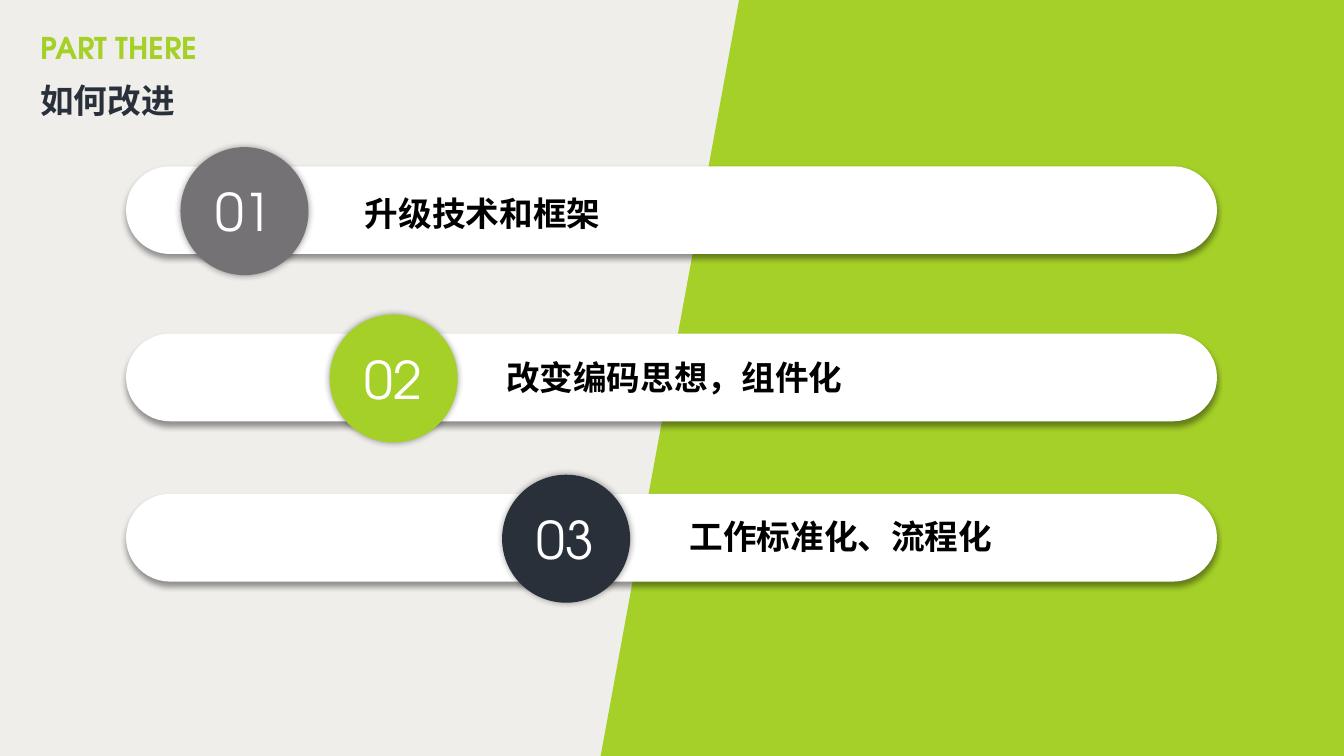
from lxml import etree
from pptx import Presentation
from pptx import util as u
from pptx.dml.color import RGBColor
from pptx.enum import shapes, text
from pptx.oxml import ns

COLORS = {"bg": "EFEEEB", "panel": "A5D028", "green": "A5D027", "dark": "29303A",
          "gray": "757276", "white": "FFFFFF", "black": "000000"}
LATIN, CJK = "TeX Gyre Adventor", "Noto Sans CJK SC"
LABEL_SIZE = 24


def rgb(name):
    """Return the named colour."""
    return RGBColor.from_string(COLORS[name])


def paint(sp, color):
    """Give a shape a flat fill with no line or shadow."""
    sp.fill.solid()
    sp.fill.fore_color.rgb = rgb(color)
    sp.line.fill.background()
    sp.shadow.inherit = False


def add_shadow(sp, blur, dist, angle):
    """Add a soft black outer shadow, in points and degrees."""
    effects = sp._element.spPr.find(ns.qn("a:effectLst"))
    shadow = etree.SubElement(effects, ns.qn("a:outerShdw"), blurRad=str(u.Pt(blur)),
                              dist=str(u.Pt(dist)), dir=str(angle * 60000),
                              algn="ctr", rotWithShape="0")
    color = etree.SubElement(shadow, ns.qn("a:srgbClr"), val=COLORS["black"])
    etree.SubElement(color, ns.qn("a:alpha"), val="40000")


def add_text(s, content, box, size, color, font=LATIN, bold=False, wrap=True,
             align=text.PP_ALIGN.LEFT, anchor=text.MSO_ANCHOR.TOP, spacing=1, before=0):
    """Add a formatted one-paragraph text box."""
    tf = s.shapes.add_textbox(*map(u.Inches, box)).text_frame
    tf.word_wrap = wrap
    tf.vertical_anchor = anchor
    tf.margin_left = tf.margin_right = tf.margin_top = tf.margin_bottom = u.Inches(0.05)
    p = tf.paragraphs[0]
    p.alignment, p.line_spacing, p.space_before = align, spacing, u.Pt(before)
    r = p.add_run()
    r.text = content
    r.font.size, r.font.bold, r.font.name = u.Pt(size), bold, font
    r.font.color.rgb = rgb(color)
    etree.SubElement(r._r.get_or_add_rPr(), ns.qn("a:ea"), typeface=CJK)


def add_panel(s, left, top, width, height):
    """Draw the slanted green panel on the right."""
    slant = 1.38
    points = [(left + slant, top), (left + width, top),
              (left + width, top + height), (left, top + height)]
    points = [(u.Inches(x), u.Inches(y)) for x, y in points]
    outline = s.shapes.build_freeform(*points[0])
    outline.add_line_segments(points[1:])
    paint(outline.convert_to_shape(), "panel")


def add_header(s, left, top, width):
    """Write the section name and the title below it."""
    add_text(s, "PART THERE", (left, top, width, 0.46), 21.4, "green", bold=True,
             spacing=0.9, before=8)
    add_text(s, "如何改进", (left, top + 0.46, width, 0.58), 24, "dark", font=CJK, bold=True)


def add_step(s, box, number, color, badge_left, label, label_left, label_drop):
    """Draw a rounded bar with a numbered badge and its label."""
    left, top, width, height = box
    bar = s.shapes.add_shape(shapes.MSO_SHAPE.ROUNDED_RECTANGLE, *map(u.Inches, box))
    bar.adjustments[0] = 0.5
    paint(bar, "white")
    add_shadow(bar, 4, 3, 90)

    size = 1.27
    badge_x, badge_y = left + badge_left, top + (height - size) / 2 + 0.01
    badge = s.shapes.add_shape(shapes.MSO_SHAPE.OVAL,
                               *map(u.Inches, (badge_x, badge_y, size, size)))
    paint(badge, color)
    add_shadow(badge, 5, 0, 0)
    add_text(s, f"{number:02d}", (badge_x + 0.18, badge_y + 0.27, 0.9, 0.73), 37, "white",
             align=text.PP_ALIGN.CENTER, anchor=text.MSO_ANCHOR.MIDDLE)

    label_width = len(label) * LABEL_SIZE / 72 + 0.12
    add_text(s, label, (left + label_left, top + label_drop, label_width, 0.56),
             LABEL_SIZE, "black", bold=True, wrap=False)


def build_slide(prs):
    """Build the slide of three improvement steps."""
    s = prs.slides.add_slide(prs.slide_layouts[6])
    s.background.fill.solid()
    s.background.fill.fore_color.rgb = rgb("bg")
    add_panel(s, 5.95, 0, 7.38, 7.54)
    add_header(s, 0.35, 0.28, 3.84)
    steps = [(1.65, "gray", 0.54, "升级技术和框架", 2.32, 0.21),
             (3.31, "green", 2.02, "改变编码思想，组件化", 3.72, 0.18),
             (4.9, "dark", 3.73, "工作标准化、流程化", 5.54, 0.17)]
    for number, (top, *details) in enumerate(steps, 1):
        add_step(s, (1.25, top, 10.82, 0.87), number, *details)


prs = Presentation()
prs.slide_width, prs.slide_height = u.Inches(13.33), u.Inches(7.5)
build_slide(prs)
prs.save("out.pptx")
